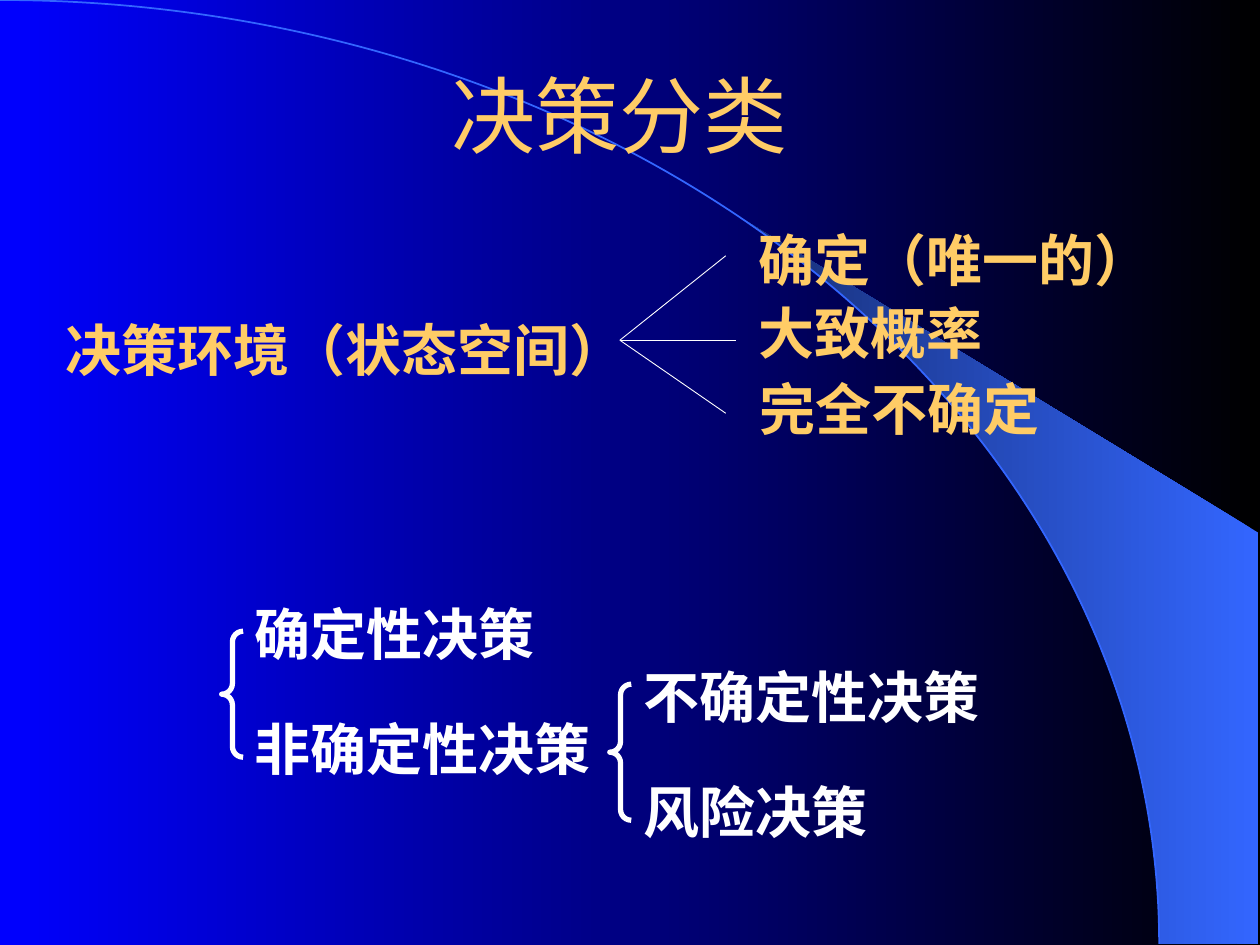
"""Build the slide on the classification of decisions."""
import math

from lxml import etree
from pptx import Presentation
from pptx.dml.color import RGBColor
from pptx.enum.shapes import MSO_CONNECTOR, MSO_SHAPE
from pptx.enum.text import MSO_ANCHOR, MSO_AUTO_SIZE, PP_ALIGN
from pptx.oxml.ns import qn
from pptx.util import Inches, Pt

STRAIGHT = MSO_CONNECTOR.STRAIGHT
ARC, BRACE = MSO_SHAPE.ARC, MSO_SHAPE.LEFT_BRACE
CENTER, MIDDLE = PP_ALIGN.CENTER, MSO_ANCHOR.MIDDLE
FIXED, GROW = MSO_AUTO_SIZE.NONE, MSO_AUTO_SIZE.SHAPE_TO_FIT_TEXT

WHITE, GOLD, BLUE = "FFFFFF", "FFCC66", "3366FF"
TITLE = "决策分类"
ENVIRONMENT = [
    ("决策环境（状态空间）", (0.42, 2.08, 7.5, 1.01)),
    ("确定（唯一的）", (5.92, 1.37, 3.65, 1.01)),
    ("大致概率", (5.92, 1.95, 3.33, 1.01)),
    ("完全不确定", (5.93, 2.55, 4.58, 1.01)),
]
BRANCH_START = (4.92, 2.7)
BRANCH_ENDS = [(5.76, 2.03), (5.76, 3.28), (5.84, 2.7)]
DECISIONS = [
    (["确定性决策", "非确定性决策"], (1.92, 4.6, 8.25, 1.66), (1.76, 5.01, 0.17, 1)),
    (["不确定性决策", "风险决策"], (5.01, 5.1, 4.42, 1.66), (4.84, 5.43, 0.17, 1.08)),
]
RADIUS_X, RADIUS_Y = 9.2, 7.49
WEDGE_LEFT, WEDGE_RIGHT, WEDGE_RIGHT_TOP = 5.89, 9.99, 4.23
WEDGE_STEPS = 24


def color(value):
    return RGBColor.from_string(value)


def inches(values):
    return [Inches(value) for value in values]


def fill_gradient(fill, start, end):
    fill.gradient()
    fill.gradient_angle = 180
    for stop, value in zip(fill.gradient_stops, (start, end)):
        stop.color.rgb = color(value)


def set_line(line, value, width):
    line.color.rgb = color(value)
    line.width = Pt(width)


def add_outline(slide, kind, box, value, width):
    outline = slide.shapes.add_shape(kind, *inches(box))
    outline.shadow.inherit = False
    outline.fill.background()
    set_line(outline.line, value, width)
    return outline


def add_wedge(slide):
    start = math.asin(WEDGE_LEFT / RADIUS_X)
    angles = [start + (math.pi / 2 - start) * step / WEDGE_STEPS
              for step in range(WEDGE_STEPS + 1)]
    edge = [inches((RADIUS_X * math.sin(angle), RADIUS_Y * (1 - math.cos(angle))))
            for angle in angles]
    corners = [inches((WEDGE_RIGHT, y)) for y in (RADIUS_Y, WEDGE_RIGHT_TOP)]
    builder = slide.shapes.build_freeform(*edge[0])
    builder.add_line_segments(edge[1:] + corners, close=True)
    wedge = builder.convert_to_shape()
    wedge.shadow.inherit = False
    fill_gradient(wedge.fill, BLUE, "172F75")
    wedge.line.fill.background()


def add_title(slide):
    title = slide.shapes.title
    title.left, title.top, title.width, title.height = inches((0.67, 0.28, 8.5, 1.25))
    frame = title.text_frame
    frame.text = TITLE
    frame.auto_size = FIXED
    frame.vertical_anchor = MIDDLE
    paragraph = frame.paragraphs[0]
    paragraph.alignment = CENTER
    paragraph.font.size = Pt(48)
    paragraph.font.name = "Arial"
    paragraph.font.color.rgb = color(GOLD)
    slide.shapes.element.append(title.element)


def add_text(slide, lines, box, value, spacing):
    frame = slide.shapes.add_textbox(*inches(box)).text_frame
    frame.word_wrap = True
    frame.auto_size = GROW
    frame.text = "\n".join(lines)
    for index, paragraph in enumerate(frame.paragraphs):
        paragraph.line_spacing = spacing
        paragraph.space_before = Pt(20 if index else 0)
        paragraph.font.size = Pt(32)
        paragraph.font.bold = True
        paragraph.font.name = "Times New Roman"
        paragraph.font.color.rgb = color(value)


def add_branch(slide, end):
    branch = slide.shapes.add_connector(STRAIGHT, *inches(BRANCH_START + end))
    set_line(branch.line, WHITE, 0.5)
    etree.SubElement(branch.element.spPr, qn("a:effectLst"))


def main():
    deck = Presentation()
    deck.slide_width, deck.slide_height = inches((10, 7.5))
    slide = deck.slides.add_slide(deck.slide_layouts[5])
    fill_gradient(slide.background.fill, "000000", "0000FF")
    add_wedge(slide)
    add_outline(slide, ARC, (-RADIUS_X, 0, 2 * RADIUS_X, 2 * RADIUS_Y), BLUE, 1)
    add_title(slide)
    for lines, text_box, brace_box in DECISIONS:
        add_text(slide, lines, text_box, WHITE, 1.2)
        brace = add_outline(slide, BRACE, brace_box, WHITE, 3)
        brace.adjustments[0] = 0.5
    for end in BRANCH_ENDS:
        add_branch(slide, end)
    for label, box in ENVIRONMENT:
        add_text(slide, [label], box, GOLD, 1.7)
    deck.save("out.pptx")


if __name__ == "__main__":
    main()
